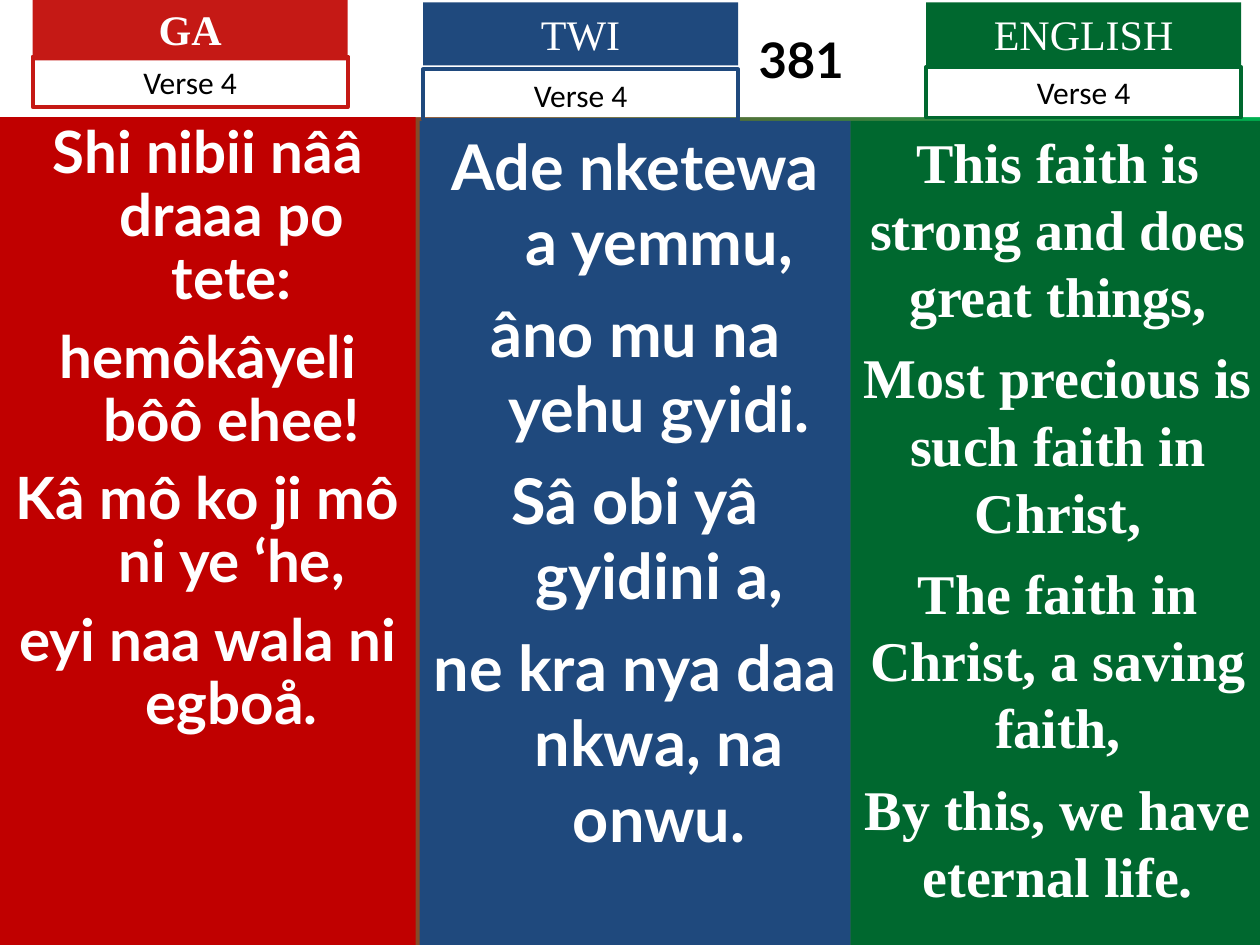
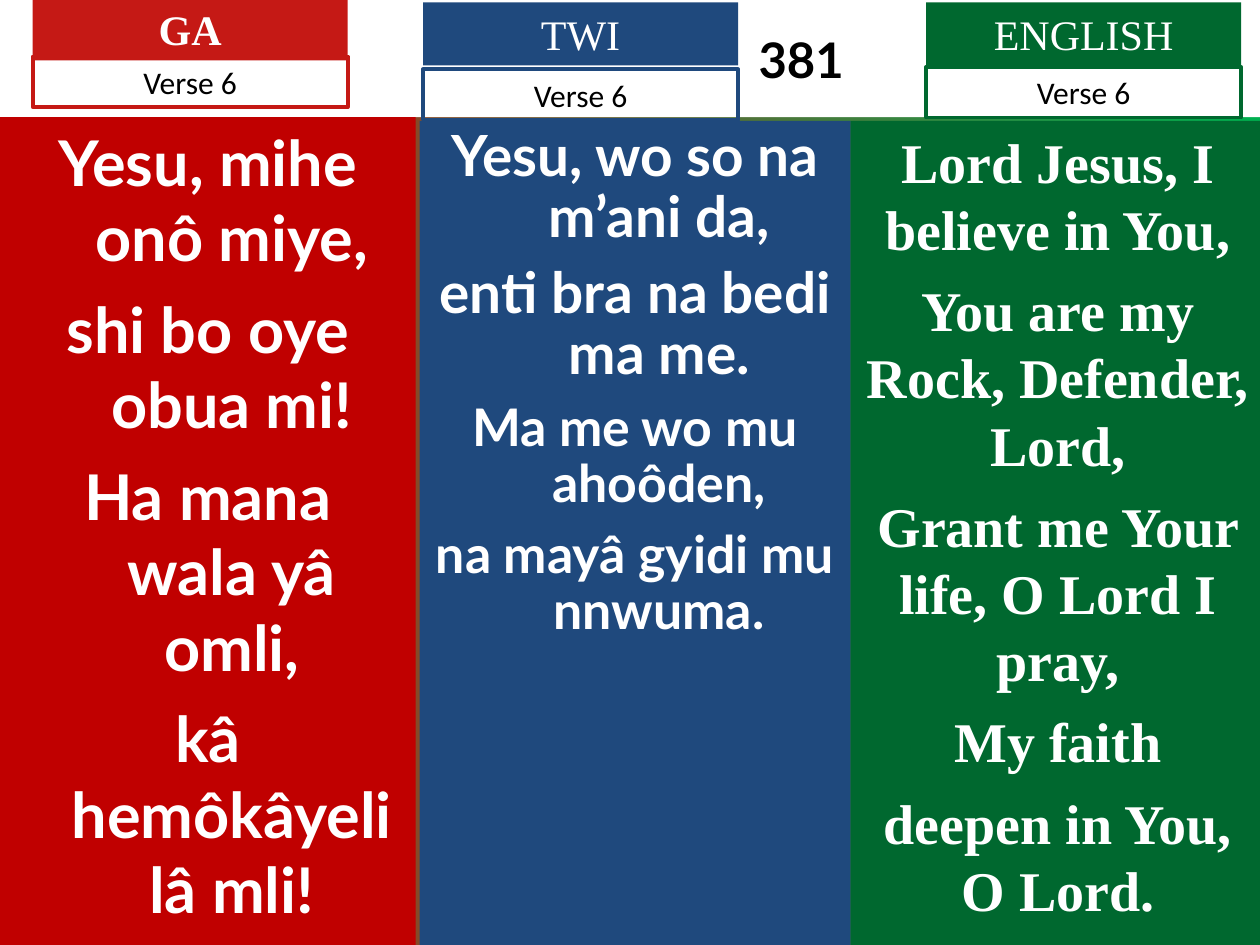
from dataclasses import dataclass

from pptx import Presentation
from pptx.dml.color import RGBColor
from pptx.enum.shapes import MSO_SHAPE
from pptx.enum.text import MSO_ANCHOR, PP_ALIGN
from pptx.util import Cm, Length, Pt

COLORS = {
    "white": "FFFFFF",
    "black": "000000",
    "ga_tag": "C51915",
    "ga_body": "C00000",
    "twi": "1F497D",
    "english": "00682F",
    "gradient_end": "00B050",
}
HYMN_NUMBER = "381"
SLIDE_WIDTH, SLIDE_HEIGHT = Cm(25.4), Cm(19.05)
TITLE_HEIGHT = Cm(2.36)
TAG_WIDTH, TAG_HEIGHT, VERSE_HEIGHT = Cm(6.35), Cm(1.27), Cm(1.02)
HANGING_INDENT = Cm(0.97)


@dataclass(frozen=True)
class Language:
    name: str
    tag_color: str
    body_color: str
    body_left: Length
    body_top: Length
    body_width: Length
    tag_left: Length
    tag_top: Length
    verse_top: Length
    font: str = "Lato"
    hanging: bool = True
    tag_bold: bool = False


@dataclass(frozen=True)
class Lyrics:
    lines: tuple[str, ...]
    sizes: tuple[float, ...]  # one size for all lines, or one per line
    spacing: float | Length = 1.0
    space_before: float = 9


@dataclass(frozen=True)
class Verse:
    number: int
    lyrics: tuple[Lyrics, ...]  # in the order of LANGUAGES


LANGUAGES = (
    Language("GA", "ga_tag", "ga_body", Cm(0), Cm(2.36), Cm(8.38),
             Cm(0.66), Cm(-0.05), Cm(1.14), tag_bold=True),
    Language("TWI", "twi", "twi", Cm(8.46), Cm(2.44), Cm(8.69),
             Cm(8.53), Cm(0.05), Cm(1.4)),
    Language("ENGLISH", "english", "english", Cm(17.15), Cm(2.44), Cm(8.36),
             Cm(18.67), Cm(0.05), Cm(1.35), font="Times New Roman", hanging=False),
)


def english_lyrics(*lines: str) -> Lyrics:
    return Lyrics(lines, (32,), Pt(38.4), 8)


VERSES = (
    Verse(4, (
        Lyrics(("Shi nibii nââ draaa po tete:", "hemôkâyeli bôô ehee!",
                "Kâ mô ko ji mô ni ye ‘he,", "eyi naa wala ni egboå."), (33.3,), 0.9),
        Lyrics(("Ade nketewa a yemmu,", "âno mu na yehu gyidi.",
                "Sâ obi yâ gyidini a,", "ne kra nya daa nkwa, na onwu."), (36,)),
        english_lyrics("This faith is strong and does great things,",
                       "Most precious is such faith in Christ,",
                       "The faith in Christ, a saving faith,",
                       "By this, we have eternal life."),
    )),
    Verse(6, (
        Lyrics(("Yesu, mihe onô miye,", "shi bo oye obua mi!",
                "Ha mana wala yâ omli,", "kâ hemôkâyeli lâ mli!"), (36,)),
        Lyrics(("Yesu, wo so na m’ani da,", "enti bra na bedi ma me.",
                "Ma me wo mu ahoôden,", "na mayâ gyidi mu nnwuma."),
               (32.4, 32.4, 29.6, 29.6), 0.9, 8.5),
        english_lyrics("Lord Jesus, I believe in You,",
                       "You are my Rock, Defender, Lord,",
                       "Grant me Your life, O Lord I pray,",
                       "My faith",
                       "deepen in You, O Lord."),
    )),
)


def rgb(name: str) -> RGBColor:
    return RGBColor.from_string(COLORS[name])


def write(paragraph, text: str, font: str, size: float, color: str, bold: bool = False) -> None:
    paragraph.text = text
    paragraph.alignment = PP_ALIGN.CENTER
    paragraph.font.name = font
    paragraph.font.size = Pt(size)
    paragraph.font.bold = bold
    paragraph.font.color.rgb = rgb(color)


def add_box(slide, left: Length, top: Length, width: Length, height: Length,
            fill: str | None = None, line: str | None = None):
    """Add a flat rectangle with top-anchored wrapping text."""
    shape = slide.shapes.add_shape(MSO_SHAPE.RECTANGLE, left, top, width, height)
    shape.shadow.inherit = False
    if fill:
        shape.fill.solid()
        shape.fill.fore_color.rgb = rgb(fill)
    else:
        shape.fill.background()
    if line:
        shape.line.color.rgb = rgb(line)
        shape.line.width = Pt(2.25)
    else:
        shape.line.fill.background()
    shape.text_frame.word_wrap = True
    shape.text_frame.vertical_anchor = MSO_ANCHOR.TOP
    return shape


def set_background(slide) -> None:
    fill = slide.background.fill
    fill.gradient()
    fill.gradient_angle = 0
    for stop, color, position in zip(fill.gradient_stops, ("ga_tag", "gradient_end"), (0, 1)):
        stop.color.rgb = rgb(color)
        stop.position = position


def format_title(slide) -> None:
    title = slide.shapes.title
    title.left, title.top, title.width, title.height = 0, 0, SLIDE_WIDTH, TITLE_HEIGHT
    title.fill.solid()
    title.fill.fore_color.rgb = rgb("white")
    frame = title.text_frame
    frame.vertical_anchor = MSO_ANCHOR.MIDDLE
    # The number is centred in the gap between the TWI and ENGLISH tags
    frame.margin_left, frame.margin_right = Cm(6.9), 0
    write(frame.paragraphs[0], HYMN_NUMBER, "Lato", 28, "black", bold=True)


def add_lyrics(slide, language: Language, lyrics: Lyrics) -> None:
    box = add_box(slide, language.body_left, language.body_top, language.body_width,
                  SLIDE_HEIGHT - language.body_top, fill=language.body_color)
    frame = box.text_frame
    for index, line in enumerate(lyrics.lines):
        paragraph = frame.add_paragraph() if index else frame.paragraphs[0]
        size = lyrics.sizes[index % len(lyrics.sizes)]
        write(paragraph, line, language.font, size, "white", bold=True)
        paragraph.line_spacing = lyrics.spacing
        if index:
            paragraph.space_before = Pt(lyrics.space_before)
        if language.hanging:
            properties = paragraph._p.get_or_add_pPr()
            properties.set("marL", str(HANGING_INDENT))
            properties.set("indent", str(-HANGING_INDENT))


def add_header(slide, language: Language, verse_number: int) -> None:
    tag = add_box(slide, language.tag_left, language.tag_top, TAG_WIDTH, TAG_HEIGHT,
                  fill=language.tag_color)
    write(tag.text_frame.paragraphs[0], language.name, "Times New Roman", 24, "white",
          language.tag_bold)
    label = add_box(slide, language.tag_left, language.verse_top, TAG_WIDTH, VERSE_HEIGHT,
                    line=language.tag_color)
    write(label.text_frame.paragraphs[0], f"Verse {verse_number}", "Calibri", 18, "black")


def add_verse_slide(presentation, verse: Verse) -> None:
    slide = presentation.slides.add_slide(presentation.slide_layouts[5])
    set_background(slide)
    format_title(slide)
    for language, lyrics in zip(LANGUAGES, verse.lyrics):
        add_lyrics(slide, language, lyrics)
    for language in LANGUAGES:
        add_header(slide, language, verse.number)


def main() -> None:
    presentation = Presentation()
    presentation.slide_width, presentation.slide_height = SLIDE_WIDTH, SLIDE_HEIGHT
    for verse in VERSES:
        add_verse_slide(presentation, verse)
    presentation.save("out.pptx")


if __name__ == "__main__":
    main()
